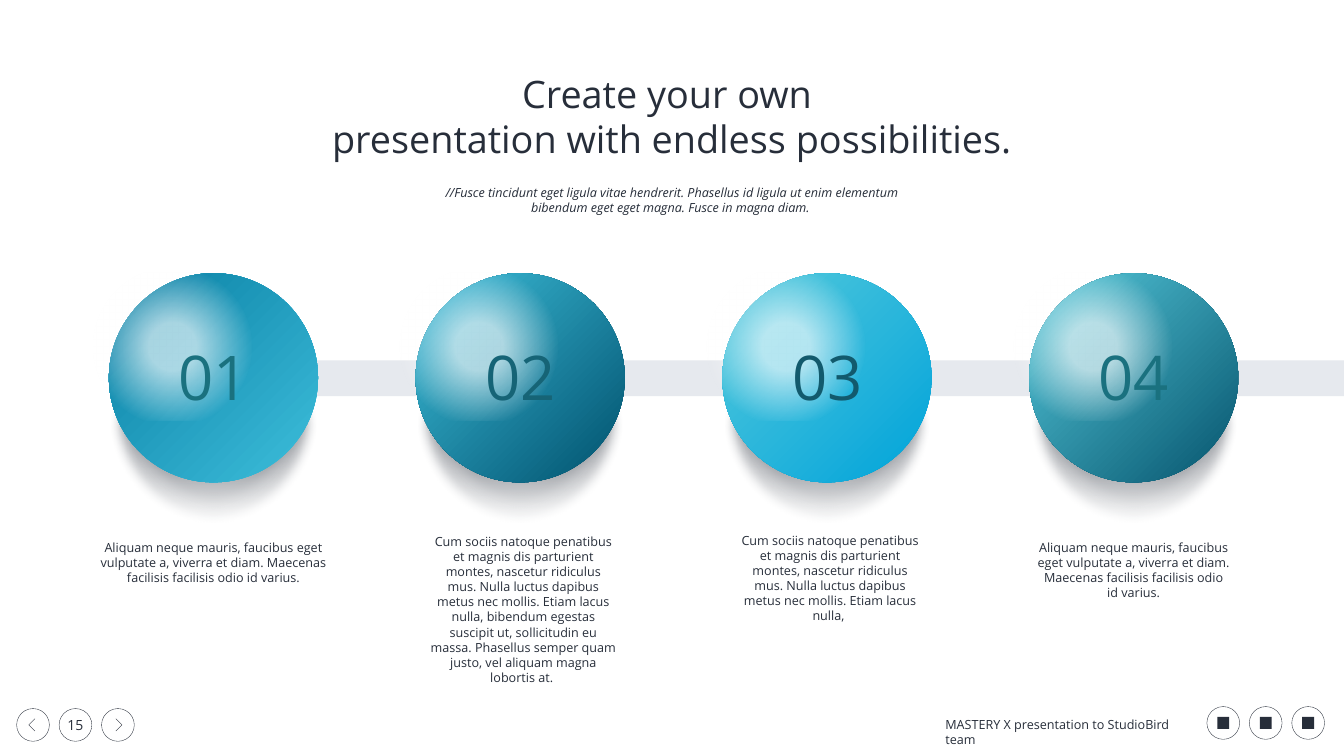
from dataclasses import dataclass

from lxml.etree import SubElement
from pptx import Presentation
from pptx.dml.color import RGBColor
from pptx.enum.shapes import MSO_SHAPE as Preset
from pptx.enum.text import MSO_ANCHOR as Anchor, PP_ALIGN as Align
from pptx.oxml import parse_xml
from pptx.oxml.ns import nsdecls, qn
from pptx.util import Cm, Pt

FONT = "Open Sans"
INK = RGBColor(0x27, 0x2E, 0x3A)
WHITE = RGBColor(0xFF, 0xFF, 0xFF)
BAR_GREY = RGBColor(0xE6, 0xE9, 0xEE)
SEA = RGBColor(0x09, 0x7E, 0xA3)
AQUA = RGBColor(0x3D, 0xBE, 0xDB)
SKY = RGBColor(0x56, 0xCA, 0xDC)
AZURE = RGBColor(0x00, 0xA3, 0xDA)
DEEP = RGBColor(0x00, 0x51, 0x6D)
PETROL = RGBColor(0x06, 0x54, 0x6D)
TEAL = RGBColor(0x1A, 0x71, 0x7F)
DARK_TEAL = RGBColor(0x16, 0x64, 0x76)
DARKEST_TEAL = RGBColor(0x12, 0x5A, 0x6D)

# All positions are in centimetres
FIRST_CENTRE, BALL_PITCH = 10.76, 15.46
BALL_SIZE, BALL_TOP = 10.54, 13.77
CAPTION_TOP = 27.08
RING_SIZE = 1.65
NAV_LEFT, NAV_TOP = 0.84, 35.71
SOCIAL_LEFT, SOCIAL_TOP = 60.83, 35.61
RING_PITCH = 2.14

SHORT = ("Aliquam neque mauris, faucibus eget vulputate a, viverra et diam. "
         "Maecenas facilisis facilisis odio id varius.")
MEDIUM = ("Cum sociis natoque penatibus et magnis dis parturient montes, "
          "nascetur ridiculus mus. Nulla luctus dapibus metus nec mollis. "
          "Etiam lacus nulla, ")
LONG = MEDIUM + ("bibendum egestas suscipit ut, sollicitudin eu massa. "
                 "Phasellus semper quam justo, vel aliquam magna lobortis at. ")


@dataclass
class Stop:
    position: int
    color: RGBColor
    alpha: int = 100


@dataclass
class Step:
    number: str
    number_color: RGBColor
    inner: RGBColor
    outer: RGBColor
    caption: str
    width: float
    height: float
    anchor: Anchor = Anchor.TOP
    nudge: float = 0


STEPS = [
    Step("01", TEAL, SEA, AQUA, SHORT, 12.4, 2.57),
    Step("02", DARK_TEAL, AQUA, DEEP, LONG, 9.93, 7.26, Anchor.MIDDLE, 0.16),
    Step("03", DARKEST_TEAL, SKY, AZURE, MEDIUM, 9.93, 4.11, Anchor.MIDDLE, 0.16),
    Step("04", TEAL, SKY, PETROL, SHORT, 10.24, 3.1),
]

SHADOW_STOPS = [Stop(0, INK, 17), Stop(42, INK, 55), Stop(100, INK, 0)]
GLOSS_STOPS = [Stop(18, WHITE, 62), Stop(59, WHITE, 0)]
DOWNWARD = '<a:lin ang="5400000" scaled="0"/>'
FROM_CORNER = '<a:path path="circle"><a:fillToRect r="100000" b="100000"/></a:path>'
FROM_MIDDLE = ('<a:path path="circle">'
               '<a:fillToRect l="50000" t="50000" r="50000" b="50000"/></a:path>')


def add_plain(slide, preset: Preset, left: float, top: float, width: float,
              height: float, color: RGBColor | None = None):
    shape = slide.shapes.add_shape(preset, Cm(left), Cm(top), Cm(width), Cm(height))
    shape.shadow.inherit = False
    shape.line.fill.background()
    if color is None:
        shape.fill.background()
    else:
        shape.fill.solid()
        shape.fill.fore_color.rgb = color
    return shape


def set_gradient(shape, stops: list[Stop], direction: str) -> None:
    marks = "".join(
        f'<a:gs pos="{s.position * 1000}"><a:srgbClr val="{s.color}">'
        f'<a:alpha val="{s.alpha * 1000}"/></a:srgbClr></a:gs>' for s in stops)
    gradient = parse_xml(f'<a:gradFill {nsdecls("a")} rotWithShape="1">'
                         f"<a:gsLst>{marks}</a:gsLst>{direction}</a:gradFill>")
    properties = shape.element.spPr
    properties.replace(properties.find(qn("a:noFill")), gradient)


def soften(shape, radius: float) -> None:
    effects = shape.element.spPr.find(qn("a:effectLst"))
    SubElement(effects, qn("a:softEdge")).set("rad", str(int(Cm(radius))))


def write(frame, text: str, size: float, color: RGBColor = INK,
          align: Align = Align.CENTER, anchor: Anchor = Anchor.TOP,
          italic: bool = False) -> None:
    frame.text = text
    frame.word_wrap = True
    frame.vertical_anchor = anchor
    for paragraph in frame.paragraphs:
        paragraph.alignment = align
        paragraph.line_spacing = Pt(size * 1.2)
        paragraph.space_before = Pt(0)
        for run in paragraph.runs:
            run.font.name, run.font.size = FONT, Pt(size)
            run.font.color.rgb = color
            run.font.italic = italic


def add_text(slide, left: float, top: float, width: float, height: float,
             text: str, size: float, **style):
    box = slide.shapes.add_textbox(Cm(left), Cm(top), Cm(width), Cm(height))
    write(box.text_frame, text, size, **style)
    return box


def outline(shape) -> None:
    shape.line.color.rgb = INK
    shape.line.width = Pt(0.5)


def add_ring(slide, left: float, top: float):
    ring = add_plain(slide, Preset.OVAL, left, top, RING_SIZE, RING_SIZE)
    outline(ring)
    return ring


def add_chevron(slide, tip: float, direction: int) -> None:
    middle, reach = NAV_TOP + RING_SIZE / 2, 0.31
    back = tip + direction * reach
    pen = slide.shapes.build_freeform(Cm(back), Cm(middle + reach))
    pen.add_line_segments([(Cm(tip), Cm(middle)), (Cm(back), Cm(middle - reach))],
                          close=False)
    chevron = pen.convert_to_shape()
    chevron.shadow.inherit = False
    chevron.fill.background()
    outline(chevron)


def add_ball(slide, centre: float, step: Step) -> None:
    left = centre - BALL_SIZE / 2
    wide = add_plain(slide, Preset.OVAL, left, 16.18, BALL_SIZE, BALL_SIZE)
    narrow = add_plain(slide, Preset.OVAL, centre - 4.79, 14.88, 9.58, 11.07)
    for shadow in (wide, narrow):
        set_gradient(shadow, SHADOW_STOPS, DOWNWARD)
        soften(shadow, 0.6)
    ball = add_plain(slide, Preset.OVAL, left, BALL_TOP, BALL_SIZE, BALL_SIZE)
    set_gradient(ball, [Stop(0, step.inner), Stop(100, step.outer)], FROM_CORNER)
    gloss = add_plain(slide, Preset.ROUNDED_RECTANGLE, centre - 7.74, 13.74, 11.35, 7.47)
    gloss.adjustments[0] = 0.5
    set_gradient(gloss, GLOSS_STOPS, FROM_MIDDLE)
    number = add_text(slide, centre - 2.08, 16.94, 4.19, 4.01, step.number, 88,
                      color=step.number_color, anchor=Anchor.MIDDLE)
    number.text_frame.word_wrap = False


def main() -> None:
    deck = Presentation()
    deck.slide_width, deck.slide_height = Cm(67.74), Cm(38.1)
    slide = deck.slides.add_slide(deck.slide_layouts[5])

    # Heading
    title = slide.shapes.title
    title.left, title.top, title.width, title.height = Cm(13.36), Cm(3.43), Cm(41.02), Cm(4.88)
    write(title.text_frame, "Create your own \npresentation with endless possibilities.", 54)
    add_text(slide, 21.29, 9.19, 25.17, 1.8,
             "//Fusce tincidunt eget ligula vitae hendrerit. Phasellus id ligula ut enim "
             "elementum bibendum eget eget magna. Fusce in magna diam. ", 18, italic=True)

    # Page navigation
    for i in range(3):
        ring = add_ring(slide, NAV_LEFT + i * RING_PITCH, NAV_TOP)
        if i == 1:
            frame = ring.text_frame
            write(frame, "15", 20, anchor=Anchor.MIDDLE)
            frame.word_wrap = False
            frame.margin_left = frame.margin_right = 0
    add_chevron(slide, 1.45, 1)
    add_chevron(slide, 6.15, -1)

    # Footer with neutral marks in the social buttons
    add_text(slide, 47.4, 35.99, 12.7, 1.02, "MASTERY X presentation to StudioBird team",
             18, align=Align.LEFT)
    for i in range(3):
        left = SOCIAL_LEFT + i * RING_PITCH
        add_ring(slide, left, SOCIAL_TOP)
        inset = (RING_SIZE - 0.6) / 2
        add_plain(slide, Preset.RECTANGLE, left + inset, SOCIAL_TOP + inset, 0.6, 0.6, INK)

    # Band behind the balls, masked at the left
    add_plain(slide, Preset.RECTANGLE, 10.77, 18.16, 56.97, 1.8, BAR_GREY)
    add_plain(slide, Preset.RECTANGLE, 0, 14.88, 6.22, 7.62, WHITE)

    # Numbered balls and captions
    for i, step in enumerate(STEPS):
        centre = FIRST_CENTRE + i * BALL_PITCH
        add_ball(slide, centre, step)
        add_text(slide, centre + step.nudge - step.width / 2, CAPTION_TOP, step.width,
                 step.height, step.caption, 18, anchor=step.anchor)

    deck.save("out.pptx")


if __name__ == "__main__":
    main()
